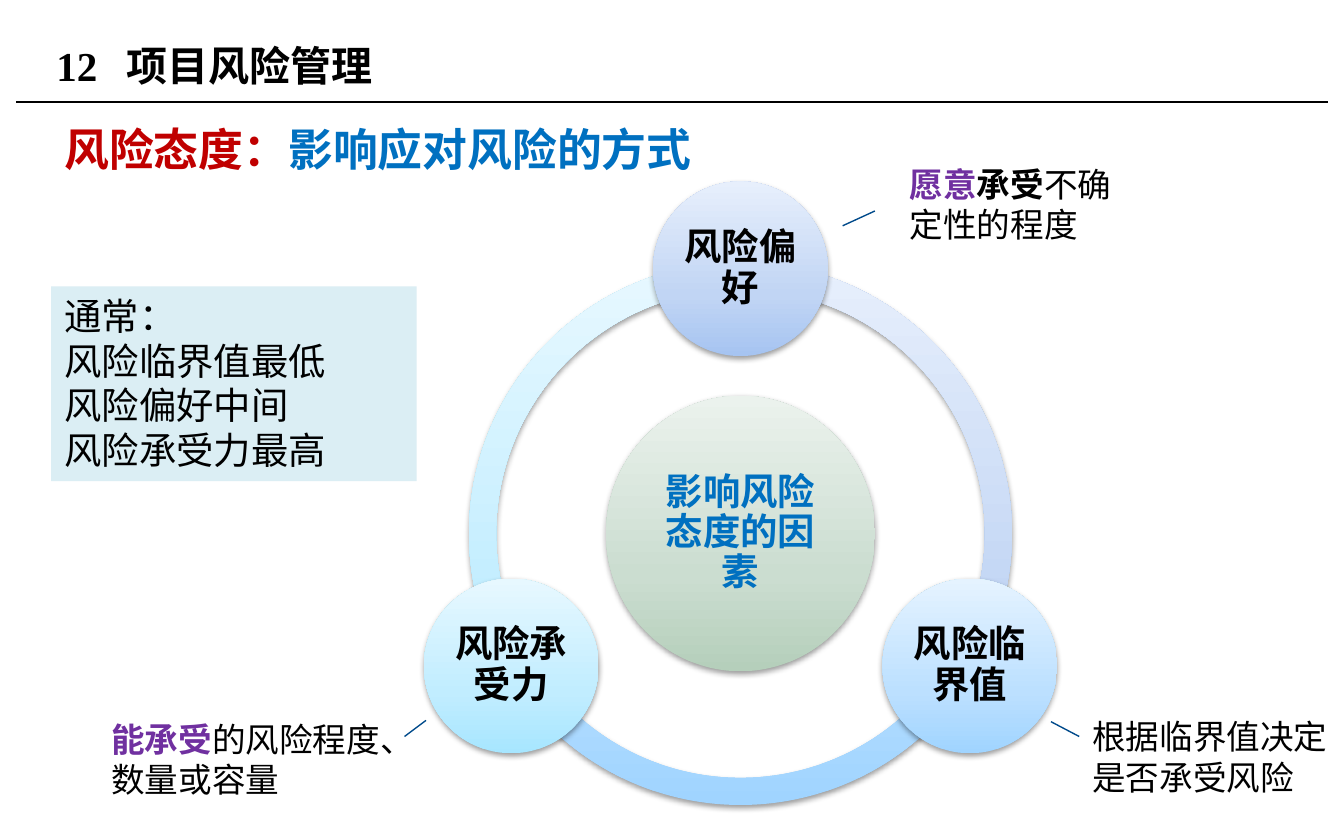
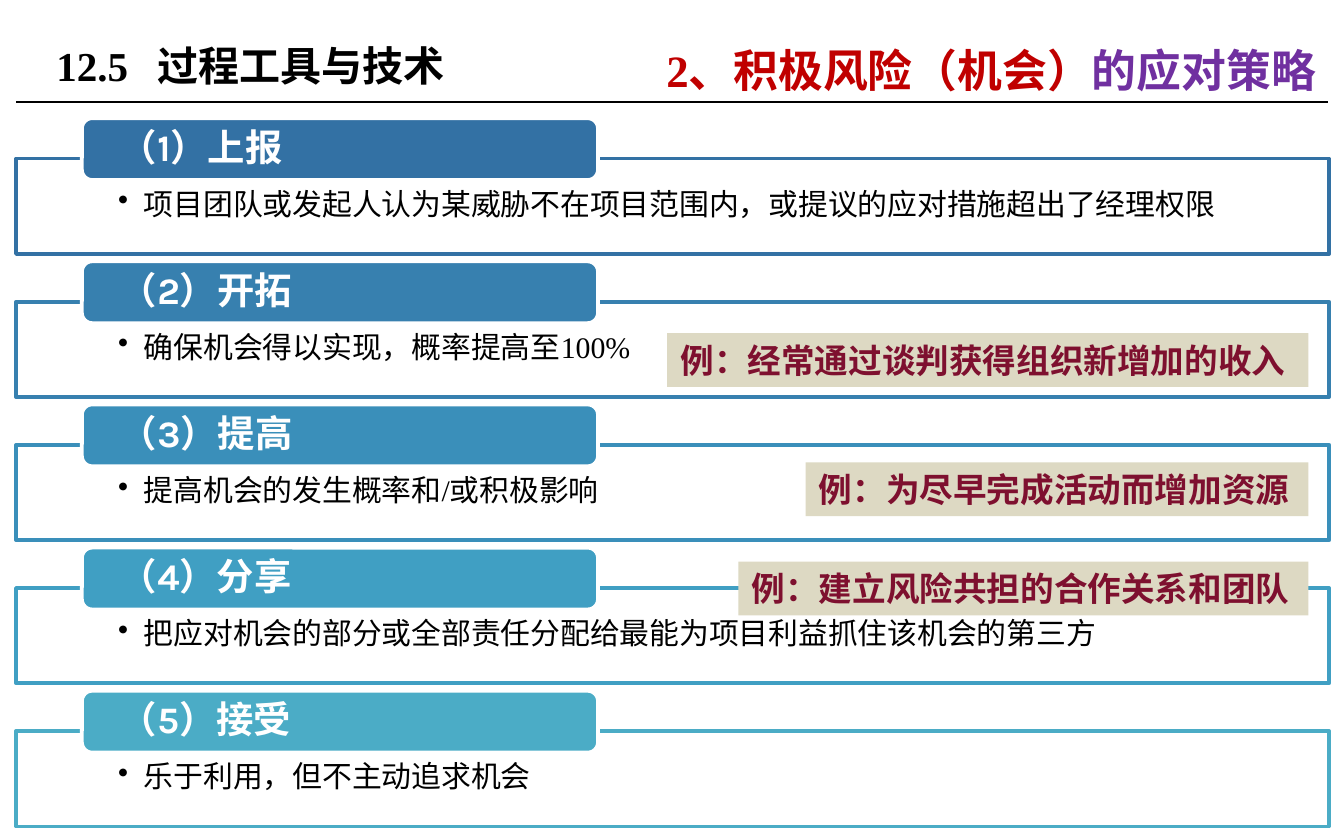
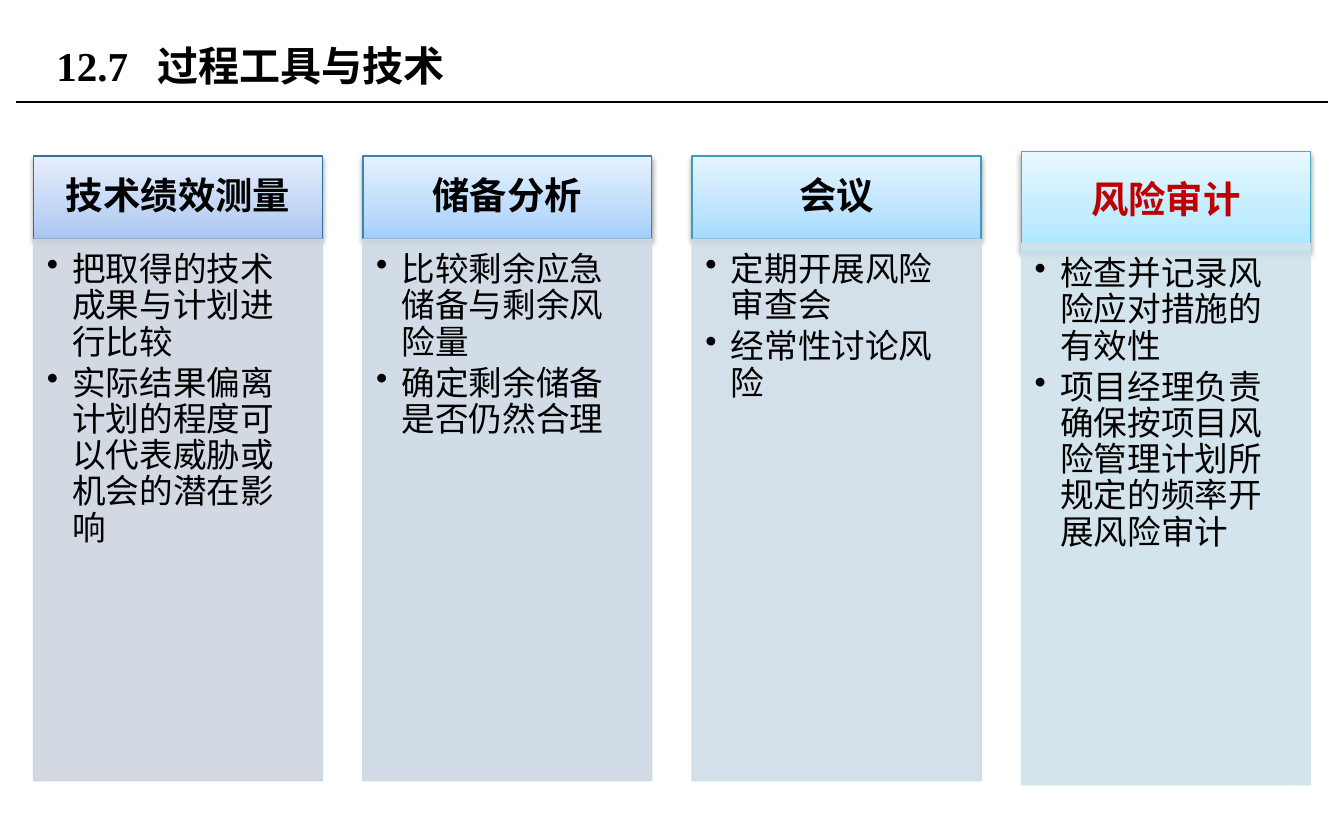
from copy import deepcopy
from dataclasses import dataclass, replace
from math import cos, radians, sin
from typing import NamedTuple, Optional

from lxml.etree import SubElement
from pptx import Presentation
from pptx.dml.color import RGBColor
from pptx.enum.shapes import MSO_CONNECTOR, MSO_SHAPE
from pptx.enum.text import MSO_ANCHOR, PP_ALIGN
from pptx.oxml.ns import qn
from pptx.util import Inches, Pt

# The grid has 100 columns by 62.5 rows of square modules.
SLIDE_WIDTH, SLIDE_HEIGHT = Inches(10), Inches(6.25)
MODULE = SLIDE_WIDTH / 100

SERIF, SANS, CHINESE = "Times New Roman", "Karla", "Noto Sans CJK SC"

BLACK = RGBColor(0x00, 0x00, 0x00)
WHITE = RGBColor(0xFF, 0xFF, 0xFF)
RED = RGBColor(0xC0, 0x00, 0x00)
BLUE = RGBColor(0x00, 0x70, 0xC0)
PURPLE = RGBColor(0x70, 0x30, 0xA0)
MAROON = RGBColor(0x7E, 0x10, 0x2F)
NAVY = RGBColor(0x00, 0x4A, 0x8B)
PALE_CYAN = RGBColor(0xDB, 0xEE, 0xF4)
SAND = RGBColor(0xDD, 0xD9, 0xC3)
STEEL = RGBColor(0x33, 0x71, 0xA4)
TEAL = RGBColor(0x4B, 0xAC, 0xC6)

# Gradients run from the bottom of a shape to its top.
Gradient = tuple[RGBColor, RGBColor, RGBColor]
STOPS = (0, 0.35, 1)
SAGE = (RGBColor(0xB5, 0xCF, 0xBB), RGBColor(0xCB, 0xDD, 0xD0), RGBColor(0xEB, 0xF2, 0xED))
PERIWINKLE = (RGBColor(0xA6, 0xC4, 0xF1), RGBColor(0xC1, 0xD5, 0xF4), RGBColor(0xE7, 0xEF, 0xFC))
CORNFLOWER = (RGBColor(0xA1, 0xCE, 0xFB), RGBColor(0xBE, 0xDC, 0xFB), RGBColor(0xE5, 0xF1, 0xFF))
AZURE = (RGBColor(0xA0, 0xD4, 0xFF), RGBColor(0xBC, 0xE0, 0xFF), RGBColor(0xE5, 0xF3, 0xFF))
SKY = (RGBColor(0xA3, 0xDA, 0xFF), RGBColor(0xBE, 0xE4, 0xFF), RGBColor(0xE6, 0xF4, 0xFF))
CYAN = (RGBColor(0xA7, 0xE6, 0xFF), RGBColor(0xC1, 0xED, 0xFF), RGBColor(0xE7, 0xF8, 0xFF))


class Box(NamedTuple):
    left: float
    top: float
    width: float
    height: float


class Run(NamedTuple):
    text: str
    color: Optional[RGBColor] = None
    bold: Optional[bool] = None
    face: Optional[str] = None


@dataclass(frozen=True)
class Style:
    size: float
    color: RGBColor = BLACK
    bold: bool = False
    face: str = SERIF
    align: PP_ALIGN = PP_ALIGN.LEFT
    spacing: float = 1.0
    after: float = 0
    bullet: bool = False
    tab: float = 0


TITLE = Style(22, bold=True)
HEADING = Style(24, RED, bold=True)
LABEL = Style(20, bold=True, align=PP_ALIGN.CENTER, spacing=0.9)
TAG = Style(20, WHITE, bold=True, face=SANS, spacing=0.9)
CALLOUT = Style(18)
EXAMPLE = Style(18, MAROON, bold=True)
USUAL = Style(20, face=SANS)
BULLET = Style(18, spacing=0.9, after=2.4, bullet=True)
STRIP_BULLET = replace(BULLET, size=16)

BULLET_INDENT = 1.9
TEXT_INSET = (1, 0.5, 1, 0.5)
NODE_INSET = (0.3, 0.3, 0.3, 0.3)


def grid(*modules: float) -> list[int]:
    """Turns grid modules into lengths."""
    return [round(count * MODULE) for count in modules]


def text_frame(shape, inset=TEXT_INSET, anchor=MSO_ANCHOR.TOP):
    """Wraps the text of a shape and sets its margins."""
    frame = shape.text_frame
    frame.word_wrap = True
    frame.vertical_anchor = anchor
    (frame.margin_left, frame.margin_top,
     frame.margin_right, frame.margin_bottom) = grid(*inset)
    return frame


def add_paragraph(frame, style: Style, *runs: Run) -> None:
    paragraph = frame.add_paragraph() if frame.text else frame.paragraphs[0]
    properties = paragraph._p.get_or_add_pPr()
    if style.bullet:
        indent, = grid(BULLET_INDENT)
        properties.set("marL", str(indent))
        properties.set("indent", str(-indent))
        SubElement(properties, qn("a:buChar"), char="•")
    if style.tab:
        stops = SubElement(properties, qn("a:tabLst"))
        SubElement(stops, qn("a:tab"), pos=str(grid(style.tab)[0]), algn="l")
    paragraph.alignment = style.align
    paragraph.line_spacing = style.spacing
    paragraph.space_after = Pt(style.after)
    font = paragraph.font
    font.size, font.bold, font.name = Pt(style.size), style.bold, style.face
    font.color.rgb = style.color
    SubElement(properties.find(qn("a:defRPr")), qn("a:ea"), typeface=CHINESE)
    for part in runs:
        run = paragraph.add_run()
        run.text = part.text
        if part.color is not None:
            run.font.color.rgb = part.color
        if part.bold is not None:
            run.font.bold = part.bold
        if part.face is not None:
            run.font.name = part.face


def add_text(slide, box: Box, style: Style, *runs: Run) -> None:
    add_paragraph(text_frame(slide.shapes.add_textbox(*grid(*box))), style, *runs)


def add_plain(slide, kind: MSO_SHAPE, box: Box, color: RGBColor):
    """Adds a flat shape without line or shadow."""
    shape = slide.shapes.add_shape(kind, *grid(*box))
    shape.shadow.inherit = False
    shape.fill.solid()
    shape.fill.fore_color.rgb = color
    shape.line.fill.background()
    return shape


def add_glossy(slide, kind: MSO_SHAPE, box: Box, gradient: Gradient):
    """Adds a shape with an upward gradient and a soft shadow."""
    shape = add_plain(slide, kind, box, gradient[0])
    shape.fill.gradient()
    shape.fill.gradient_angle = 90
    properties = shape._element.spPr
    stop_list = properties.find(".//" + qn("a:gsLst"))
    stop_list.append(deepcopy(stop_list[0]))
    for stop, position, color in zip(shape.fill.gradient_stops, STOPS, gradient):
        stop.position = position
        stop.color.rgb = color
    shadow = SubElement(properties.find(qn("a:effectLst")), qn("a:outerShdw"),
                        blurRad=str(Pt(3.1)), dist=str(Pt(1.6)), dir="5400000",
                        rotWithShape="0")
    shade = SubElement(shadow, qn("a:srgbClr"), val=str(BLACK))
    SubElement(shade, qn("a:alpha"), val="38000")
    return shape


def outline(shape, color: RGBColor, points: float) -> None:
    shape.line.color.rgb = color
    shape.line.width = Pt(points)


def fade(shape) -> None:
    """Makes the colours set so far 90 % opaque."""
    for color in shape._element.spPr.iter(qn("a:srgbClr")):
        SubElement(color, qn("a:alpha"), val="90000")


def add_line(slide, start: tuple[float, float], end: tuple[float, float],
             color: RGBColor) -> None:
    line = slide.shapes.add_connector(MSO_CONNECTOR.STRAIGHT, *grid(*start, *end))
    outline(line, color, 0.75)
    SubElement(line._element.spPr, qn("a:effectLst"))


def add_titled_slide(deck, number: str, title: str, tab: float, width: float = 63.8):
    slide = deck.slides.add_slide(deck.slide_layouts[5])
    add_line(slide, (1.2, 7.6), (98.8, 7.6), BLACK)
    heading = slide.shapes.title
    heading.left, heading.top, heading.width, heading.height = grid(3.2, 1.3, width, 7.1)
    add_paragraph(text_frame(heading, anchor=MSO_ANCHOR.MIDDLE),
                  replace(TITLE, tab=tab), Run(f"{number}\t{title}"))
    return slide


# Risk attitude: three factors on a ring

class Factor(NamedTuple):
    name: str
    face: str
    angle: int
    gradient: Gradient


class Callout(NamedTuple):
    box: Box
    runs: tuple[Run, ...]
    start: tuple[float, float]
    end: tuple[float, float]


RING_X, RING_Y, RING_SIZE = 55.1, 39.7, 40.4
NODE_ORBIT, NODE_SIZE = 19.7, 13
FACTORS = (
    Factor("风险偏好", SERIF, 270, PERIWINKLE),
    Factor("风险临界值", SANS, 30, AZURE),
    Factor("风险承受力", SANS, 150, CYAN),
)
CALLOUTS = (
    Callout(Box(66.7, 11.7, 18.9, 7.1),
            (Run("愿意", PURPLE, True), Run("承受", bold=True), Run("不确定性的程度")),
            (62.7, 16.8), (65.1, 15.7)),
    Callout(Box(7.3, 53, 22.1, 7.1),
            (Run("能承受", PURPLE, True), Run("的风险程度、数量或容量")),
            (30.1, 54.8), (31.7, 53.6)),
    Callout(Box(80.3, 52.8, 21.4, 7.1), (Run("根据临界值决定是否承受风险"),),
            (78.2, 53.7), (80.3, 54.8)),
)
USUAL_LINES = ("通常：", "风险临界值最低", "风险偏好中间", "风险承受力最高")


def centred(x: float, y: float, width: float, height: float) -> Box:
    return Box(x - width / 2, y - height / 2, width, height)


def add_node(slide, box: Box, gradient: Gradient, style: Style, name: str) -> None:
    node = add_glossy(slide, MSO_SHAPE.OVAL, box, gradient)
    add_paragraph(text_frame(node, NODE_INSET, MSO_ANCHOR.MIDDLE), style, Run(name))


def build_attitude(deck) -> None:
    slide = add_titled_slide(deck, "12", "项目风险管理", 5.2)
    add_text(slide, Box(3.8, 8.6, 49.9, 5), HEADING,
             Run("风险态度："), Run("影响应对风险的方式", BLUE))
    for factor in FACTORS:
        arc = add_glossy(slide, MSO_SHAPE.BLOCK_ARC,
                         centred(RING_X, RING_Y, RING_SIZE, RING_SIZE), factor.gradient)
        # One degree is 60000 units, an adjustment of one is 100000.
        arc.adjustments[0] = factor.angle * 0.6
        arc.adjustments[1] = (factor.angle + 120) % 360 * 0.6
        arc.adjustments[2] = 0.05
    add_node(slide, centred(RING_X, RING_Y, 20, 20.5), SAGE,
             replace(LABEL, color=BLUE), "影响风险态度的因素")
    for factor in FACTORS:
        turn = radians(factor.angle)
        box = centred(RING_X + NODE_ORBIT * cos(turn), RING_Y + NODE_ORBIT * sin(turn),
                      NODE_SIZE, NODE_SIZE)
        add_node(slide, box, factor.gradient, replace(LABEL, face=factor.face), factor.name)
    for callout in CALLOUTS:
        add_text(slide, callout.box, CALLOUT, *callout.runs)
        add_line(slide, callout.start, callout.end, NAVY)
    usual = text_frame(add_plain(slide, MSO_SHAPE.RECTANGLE, Box(3.8, 21.3, 27.2, 14.5), PALE_CYAN))
    for line in USUAL_LINES:
        add_paragraph(usual, USUAL, Run(line))


# Responses to opportunities: five strips

class Example(NamedTuple):
    text: str
    top: float
    width: float


class Strategy(NamedTuple):
    name: str
    meaning: str
    color: RGBColor
    face: str = SERIF
    example: Optional[Example] = None


STRIP_TOP, STRIP_PITCH, TAG_RISE, EXAMPLE_RIGHT = 11.8, 10.65, 3, 97.35
STRATEGIES = (
    Strategy("上报", "项目团队或发起人认为某威胁不在项目范围内，或提议的应对措施超出了经理权限",
             STEEL, SANS),
    Strategy("开拓", "确保机会得以实现，概率提高至100%", RGBColor(0x37, 0x80, 0xAF),
             example=Example("例：经常通过谈判获得组织新增加的收入", 24.8, 47.7)),
    Strategy("提高", "提高机会的发生概率和/或积极影响", RGBColor(0x3A, 0x8F, 0xBA),
             example=Example("例：为尽早完成活动而增加资源", 34.4, 37.4)),
    Strategy("分享", "把应对机会的部分或全部责任分配给最能为项目利益抓住该机会的第三方",
             RGBColor(0x40, 0x9F, 0xC3),
             example=Example("例：建立风险共担的合作关系和团队", 41.8, 42.4)),
    Strategy("接受", "乐于利用，但不主动追求机会", TEAL),
)


def add_strip(slide, number: int, strategy: Strategy) -> None:
    top = STRIP_TOP + STRIP_PITCH * (number - 1)
    strip = add_plain(slide, MSO_SHAPE.RECTANGLE, Box(1.2, top, 97.7, 7.1), WHITE)
    fade(strip)
    outline(strip, strategy.color, 2)
    add_paragraph(text_frame(strip, (7.6, 2.3, 7.6, 1.2)),
                  replace(STRIP_BULLET, face=strategy.face), Run(strategy.meaning))
    tag = add_plain(slide, MSO_SHAPE.ROUNDED_RECTANGLE,
                    Box(6.1, top - TAG_RISE, 38.4, 4.6), strategy.color)
    outline(tag, WHITE, 2)
    add_paragraph(text_frame(tag, (2.6, 0, 2.6, 0), MSO_ANCHOR.MIDDLE), TAG,
                  Run(f"（{number}）"), Run(strategy.name, face=strategy.face))
    if strategy.example:
        text, example_top, width = strategy.example
        example = add_plain(slide, MSO_SHAPE.RECTANGLE,
                            Box(EXAMPLE_RIGHT - width, example_top, width, 4), SAND)
        add_paragraph(text_frame(example), EXAMPLE, Run(text))


def build_strategies(deck) -> None:
    slide = add_titled_slide(deck, "12.5", "过程工具与技术", 7.5)
    add_text(slide, Box(48.6, 0.7, 51.7, 5.8), replace(HEADING, spacing=1.5),
             Run("2、积极风险（机会）"), Run("的应对策略", PURPLE))
    for number, strategy in enumerate(STRATEGIES, 1):
        add_strip(slide, number, strategy)


# Monitoring tools: four columns

class Tool(NamedTuple):
    name: str
    points: tuple[str, str]
    gradient: Gradient
    border: RGBColor
    panel: RGBColor
    closing_face: str = SERIF
    name_color: RGBColor = BLACK
    header_top: float = 11.6
    header_height: float = 6.2
    panel_top: float = 17.8


TOOL_LEFT, TOOL_PITCH, TOOL_WIDTH, PANEL_HEIGHT = 2.5, 24.5, 21.5, 40.3
TOOLS = (
    Tool("技术绩效测量",
         ("把取得的技术成果与计划进行比较", "实际结果偏离计划的程度可以代表威胁或机会的潜在影响"),
         PERIWINKLE, STEEL, RGBColor(0xCE, 0xD5, 0xE0), SANS),
    Tool("储备分析", ("比较剩余应急储备与剩余风险量", "确定剩余储备是否仍然合理"),
         CORNFLOWER, RGBColor(0x38, 0x85, 0xB2), RGBColor(0xCE, 0xD9, 0xE4)),
    Tool("会议", ("定期开展风险审查会", "经常性讨论风险"),
         SKY, RGBColor(0x3D, 0x9A, 0xC1), RGBColor(0xCF, 0xDD, 0xE7)),
    Tool("风险审计",
         ("检查并记录风险应对措施的有效性", "项目经理负责确保按项目风险管理计划所规定的频率开展风险审计"),
         CYAN, TEAL, RGBColor(0xD0, 0xE2, 0xEA), SANS, RED, 11.3, 7.4, 18.1),
)


def build_tools(deck) -> None:
    slide = add_titled_slide(deck, "12.7", "过程工具与技术", 7.5, 72.8)
    for index, tool in enumerate(TOOLS):
        left = TOOL_LEFT + TOOL_PITCH * index
        header = add_glossy(slide, MSO_SHAPE.RECTANGLE,
                            Box(left, tool.header_top, TOOL_WIDTH, tool.header_height),
                            tool.gradient)
        outline(header, tool.border, 0.75)
        add_paragraph(text_frame(header, (1.6, 0.9, 1.6, 0.9), MSO_ANCHOR.MIDDLE),
                      replace(LABEL, color=tool.name_color), Run(tool.name))
        panel = add_plain(slide, MSO_SHAPE.RECTANGLE,
                          Box(left, tool.panel_top, TOOL_WIDTH, PANEL_HEIGHT), tool.panel)
        outline(panel, tool.panel, 0.75)
        fade(panel)
        frame = text_frame(panel, (1, 1, 1.4, 1.6))
        for point, face in zip(tool.points, (SERIF, tool.closing_face)):
            add_paragraph(frame, replace(BULLET, face=face), Run(point))


def main() -> None:
    deck = Presentation()
    deck.slide_width, deck.slide_height = SLIDE_WIDTH, SLIDE_HEIGHT
    build_attitude(deck)
    build_strategies(deck)
    build_tools(deck)
    deck.save("out.pptx")


if __name__ == "__main__":
    main()
